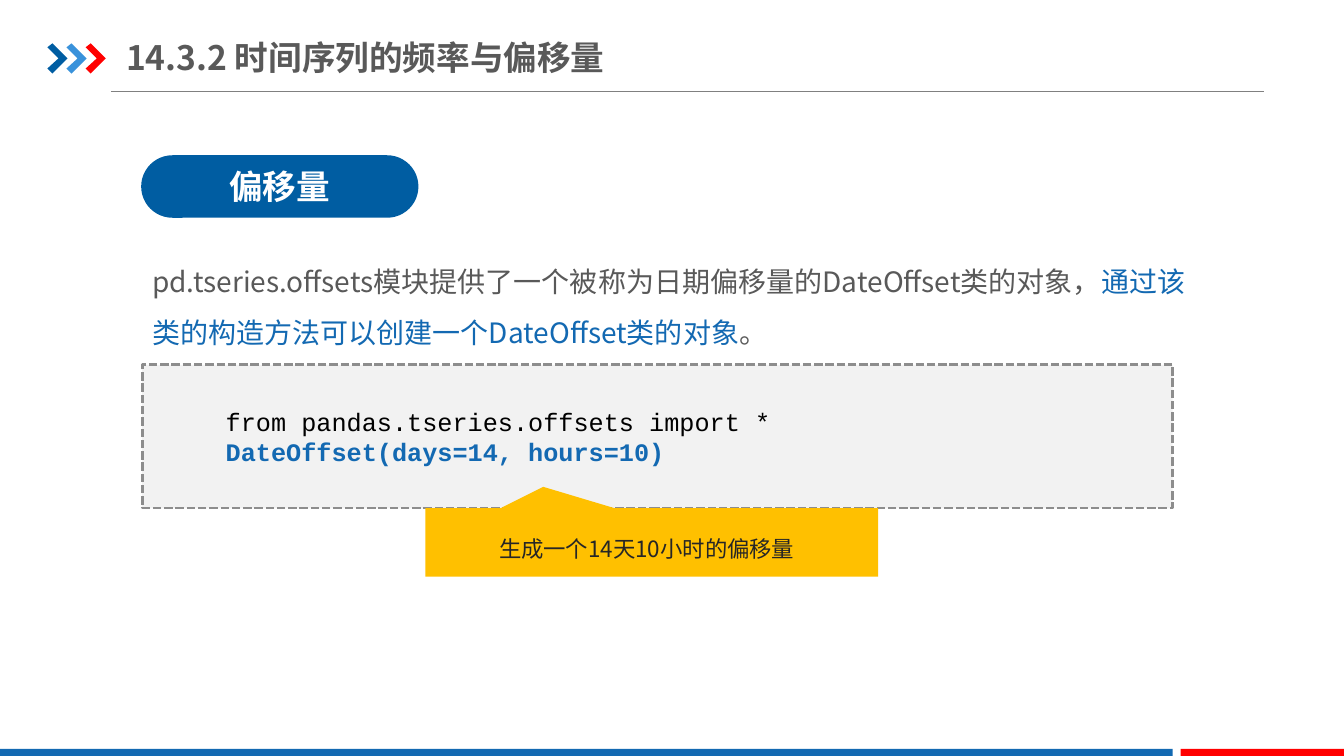
from dataclasses import dataclass

from lxml.etree import SubElement
from pptx import Presentation
from pptx.dml.color import RGBColor
from pptx.enum.dml import MSO_LINE
from pptx.enum.shapes import MSO_CONNECTOR, MSO_SHAPE
from pptx.enum.text import MSO_ANCHOR, PP_ALIGN
from pptx.oxml.ns import qn
from pptx.util import Inches, Pt


@dataclass(frozen=True)
class Theme:
    sans: str = "Noto Sans CJK SC"
    mono: str = "Courier New"
    navy: str = "005DA2"
    sky: str = "3992DB"
    blue: str = "1369B2"
    red: str = "FF0000"
    gold: str = "FFC000"
    pale: str = "F2F2F2"
    dash: str = "8D8D8D"
    rule: str = "808080"
    gray: str = "595959"
    dark: str = "262626"
    white: str = "FFFFFF"
    black: str = "000000"
    head: int = 24
    body: int = 20
    code: int = 18
    note: int = 16


THEME = Theme()


def paint(shape, color):
    shape.shadow.inherit = False
    shape.fill.solid()
    shape.fill.fore_color.rgb = RGBColor.from_string(color)
    shape.line.fill.background()


def style(run, size, color, bold=False, face=THEME.sans):
    font = run.font
    font.name = face
    font.size = Pt(size)
    font.bold = bold
    font.color.rgb = RGBColor.from_string(color)
    SubElement(run._r.get_or_add_rPr(), qn("a:ea"), typeface=face)


def add_block(slide, kind, box, color):
    shape = slide.shapes.add_shape(kind, *map(Inches, box))
    paint(shape, color)
    return shape


def add_label(shape, text, size, color, bold=False):
    frame = shape.text_frame
    frame.word_wrap = True
    frame.vertical_anchor = MSO_ANCHOR.MIDDLE
    frame.text = text
    para = frame.paragraphs[0]
    para.alignment = PP_ALIGN.CENTER
    style(para.runs[0], size, color, bold)
    return para


def add_frame(slide, box):
    frame = slide.shapes.add_textbox(*map(Inches, box)).text_frame
    frame.word_wrap = True
    return frame


def add_title(slide, text):
    title = slide.shapes.title
    title.left, title.top = Inches(1.25), Inches(0.29)
    title.width, title.height = Inches(10), Inches(0.55)
    frame = title.text_frame
    frame.margin_left = frame.margin_right = 0
    frame.vertical_anchor = MSO_ANCHOR.MIDDLE
    frame.text = text
    para = frame.paragraphs[0]
    para.alignment = PP_ALIGN.LEFT
    style(para.runs[0], THEME.head, THEME.gray, True)


def add_arrow(slide, left, color):
    top = 0.43
    edge = [(0, 0.04), (0.05, 0), (0.2, 0.15), (0.05, 0.3), (0, 0.25), (0.11, 0.15)]
    dots = [(Inches(left + x), Inches(top + y)) for x, y in edge]
    pen = slide.shapes.build_freeform(*dots[0])
    pen.add_line_segments(dots[1:], close=True)
    paint(pen.convert_to_shape(), color)


def add_rule(slide):
    ends = map(Inches, (1.1, 0.91, 12.54, 0.91))
    rule = slide.shapes.add_connector(MSO_CONNECTOR.STRAIGHT, *ends)
    rule.line.color.rgb = RGBColor.from_string(THEME.rule)
    rule.line.width = Pt(0.75)
    SubElement(rule._element.spPr, qn("a:effectLst"))


def add_code(slide, lines):
    panel = add_block(slide, MSO_SHAPE.RECTANGLE, (1.41, 3.62, 10.22, 1.42), THEME.pale)
    panel.line.color.rgb = RGBColor.from_string(THEME.dash)
    panel.line.width = Pt(2)
    panel.line.dash_style = MSO_LINE.SQUARE_DOT
    frame = add_frame(slide, (1.85, 3.98, 9.57, 0.71))
    frame.text = "\n".join(text for text, _, _ in lines)
    for para, (_, color, bold) in zip(frame.paragraphs, lines):
        props = para._p.get_or_add_pPr()
        props.set("marL", "0")
        props.set("indent", str(Inches(0.29)))
        style(para.runs[0], THEME.code, color, bold, THEME.mono)


def add_body(slide, parts):
    para = add_frame(slide, (1.41, 2.41, 10.45, 1.11)).paragraphs[0]
    para.line_spacing = 1.5
    for text, color in parts:
        run = para.add_run()
        run.text = text
        style(run, THEME.body, color)


def add_note(slide, text):
    note = add_block(slide, MSO_SHAPE.RECTANGULAR_CALLOUT, (4.22, 5.04, 4.49, 0.68), THEME.gold)
    note.adjustments[0] = -0.24
    note.adjustments[1] = -0.81
    para = add_label(note, text, THEME.note, THEME.dark)
    para.line_spacing = 1.5
    note.text_frame.margin_right = Inches(0.2)


def main():
    deck = Presentation()
    deck.slide_width, deck.slide_height = Inches(13.33), Inches(7.5)
    slide = deck.slides.add_slide(deck.slide_layouts[5])

    add_rule(slide)
    for step, color in enumerate((THEME.navy, THEME.sky, THEME.red)):
        add_arrow(slide, 0.47 + 0.19 * step, color)
    for left, width, color in ((0, 11.63, THEME.blue), (11.71, 1.62, THEME.red)):
        add_block(slide, MSO_SHAPE.RECTANGLE, (left, 7.43, width, 0.07), color)
    add_title(slide, "14.3.2 时间序列的频率与偏移量")

    pill = add_block(slide, MSO_SHAPE.ROUNDED_RECTANGLE, (1.4, 1.54, 2.75, 0.62), THEME.navy)
    pill.adjustments[0] = 0.5
    add_label(pill, "偏移量", THEME.head, THEME.white, True)

    add_code(slide, [
        ("from pandas.tseries.offsets import *", THEME.black, False),
        ("DateOffset(days=14, hours=10)", THEME.blue, True),
    ])
    add_body(slide, [
        ("pd.tseries.offsets模块提供了一个被称为日期偏移量的DateOffset类的对象，", THEME.gray),
        ("通过该类的构造方法可以创建一个DateOffset类的对象", THEME.blue),
        ("。", THEME.gray),
    ])
    add_note(slide, "生成一个14天10小时的偏移量")
    deck.save("out.pptx")


if __name__ == "__main__":
    main()
